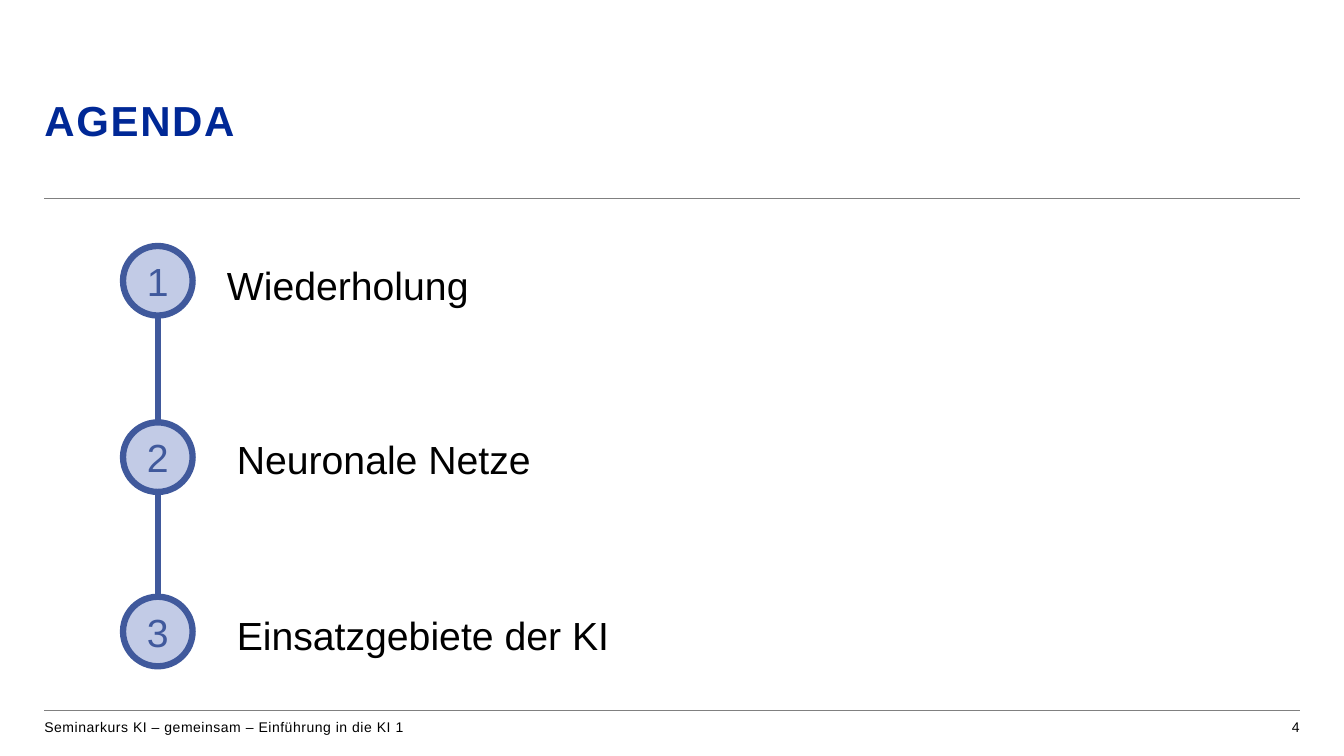
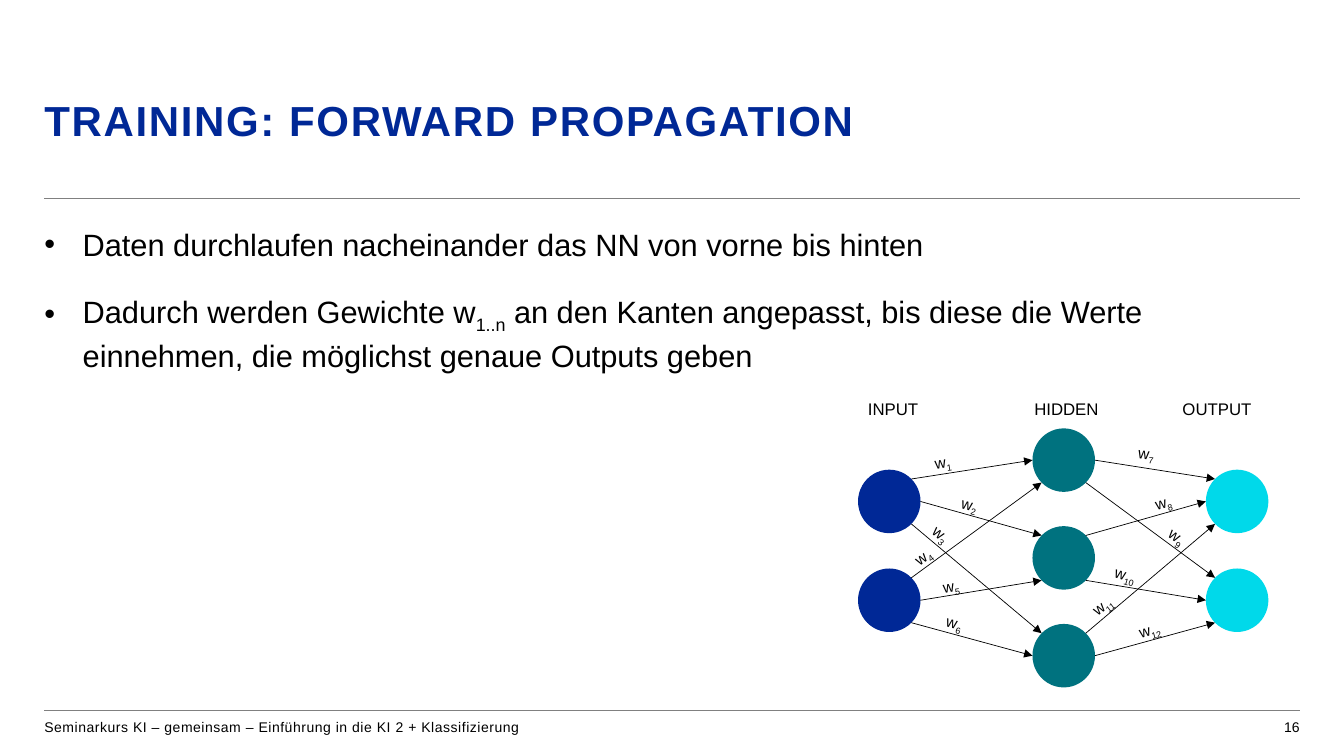
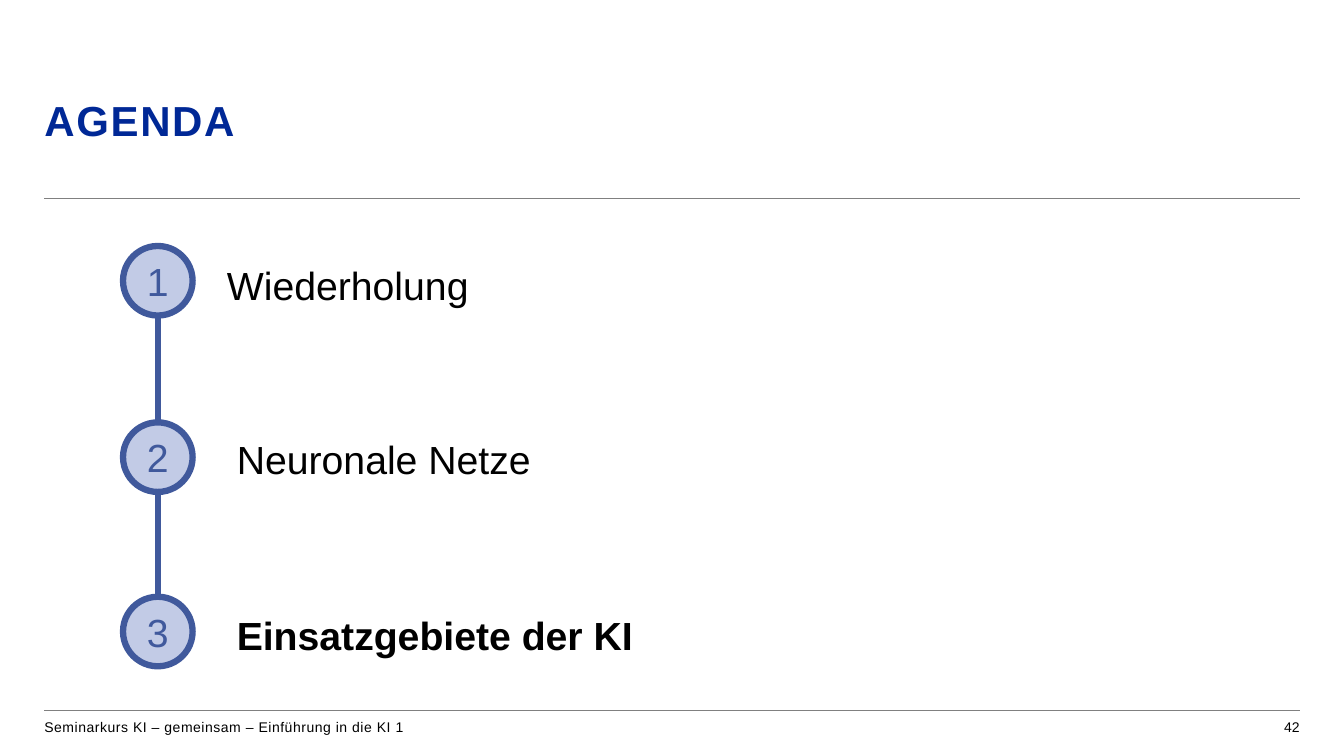
from dataclasses import dataclass, replace
from math import sqrt
from typing import NamedTuple

from lxml import etree
from pptx import Presentation
from pptx.dml.color import RGBColor
from pptx.enum.shapes import MSO_CONNECTOR, MSO_SHAPE
from pptx.enum.text import MSO_ANCHOR, MSO_AUTO_SIZE, PP_ALIGN
from pptx.oxml.ns import qn
from pptx.util import Pt

STRAIGHT = MSO_CONNECTOR.STRAIGHT
OVAL = MSO_SHAPE.OVAL
TOP, MIDDLE = MSO_ANCHOR.TOP, MSO_ANCHOR.MIDDLE
LEFT, CENTER, RIGHT = PP_ALIGN.LEFT, PP_ALIGN.CENTER, PP_ALIGN.RIGHT
NO_AUTOFIT = MSO_AUTO_SIZE.NONE
EMU_PER_PX = 9144  # 100 px to the inch


@dataclass(frozen=True)
class TextStyle:
    size: int
    color: str = "000000"
    bold: bool = False
    tracking: float = 0
    line_spacing: float = 1.0
    space_after: int = 0
    align: PP_ALIGN = LEFT


class Theme:
    font = "Arial"
    rule, edge = "808080", "000000"
    step_line, step_fill = "40599C", "C2CBE6"
    input, hidden, output = "002896", "00727F", "00D9EA"
    thin, thick = 0.5, 4.5
    title = TextStyle(30, "002896", bold=True, tracking=1.2, line_spacing=0.94)
    body = TextStyle(22, line_spacing=1.05, space_after=20)
    agenda = replace(body, size=28)
    step = TextStyle(28, step_line, align=CENTER)
    layer = TextStyle(12)
    weight = TextStyle(11)
    footer = TextStyle(10, tracking=0.4)
    page = TextStyle(10, align=RIGHT)


class Edge(NamedTuple):
    """A weighted arrow; a node is its layer and its place in that layer."""
    source: tuple
    exit_side: str
    target: tuple
    entry_side: str
    label_left: int
    label_top: int
    label_rotation: float


# Boxes are left, top, width, height in px.
SLIDE_SIZE = (1333, 750)
MARGIN_LEFT, MARGIN_RIGHT = 44, 1289
CONTENT_WIDTH = MARGIN_RIGHT - MARGIN_LEFT
RULE_TOPS = (197, 705)
TITLE_BOX = (MARGIN_LEFT, 98, CONTENT_WIDTH, 94)
BODY_BOX = (MARGIN_LEFT, 222, CONTENT_WIDTH, 460)
FOOTER_BOX = (MARGIN_LEFT, 713, 807, 24)
PAGE_BOX = (1081, 713, 208, 24)
COURSE = "Seminarkurs KI – gemeinsam – Einführung in die KI "

# Agenda: text, circle top, text box; the first text fills the body placeholder.
AGENDA = [
    ("Wiederholung", 244, (225, 257, 503, 43)),
    ("Neuronale Netze", 419, (225, 425, 939, 56)),
    ("Einsatzgebiete der KI", 592, (225, 599, 939, 56)),
]
STEP_LEFT, STEP_SIZE = 122, 69

# In a paragraph given as a tuple, every second part is a subscript.
TRAINING = [
    ("Daten durchlaufen nacheinander das NN von vorne bis hinten",),
    ("Dadurch werden Gewichte w", "1..n",
     " an den Kanten angepasst, bis diese die Werte einnehmen, "
     "die möglichst genaue Outputs geben"),
]
BULLET_INDENT = 38

# Layer: left, top of first node, pitch, node count, fill.
LAYERS = {
    "input": (851, 466, 98, 2, Theme.input),
    "hidden": (1024, 425, 97, 3, Theme.hidden),
    "output": (1196, 466, 98, 2, Theme.output),
}
NODE_WIDTH, NODE_HEIGHT = 62, 63
LAYER_NAMES = "INPUT\tHIDDEN\tOUTPUT"
LAYER_NAMES_BOX = (851, 391, 407, 30)
LAYER_TABS = (165, 312)

# Direction from a node's centre to a point on its outline, in radii.
DIAGONAL = 1 / sqrt(2)
COMPASS = {
    "E": (1, 0), "W": (-1, 0),
    "NE": (DIAGONAL, -DIAGONAL), "SE": (DIAGONAL, DIAGONAL),
    "NW": (-DIAGONAL, -DIAGONAL), "SW": (-DIAGONAL, DIAGONAL),
}
# In order of their weights, w1 to w12.
EDGES = [
    Edge(("input", 0), "NE", ("hidden", 0), "W", 917, 441, 351.1),
    Edge(("input", 0), "E", ("hidden", 1), "NW", 943, 492, 14.6),
    Edge(("input", 0), "SE", ("hidden", 2), "NW", 910, 531, 40),
    Edge(("input", 1), "NE", ("hidden", 0), "SW", 893, 524, 324.2),
    Edge(("input", 1), "E", ("hidden", 1), "SW", 925, 564, 350.8),
    Edge(("input", 1), "SE", ("hidden", 2), "W", 928, 610, 15.1),
    Edge(("hidden", 0), "E", ("output", 0), "NW", 1119, 439, 7.8),
    Edge(("hidden", 1), "NE", ("output", 0), "W", 1135, 478, 344.9),
    Edge(("hidden", 0), "SE", ("output", 1), "NW", 1145, 532, 36.3),
    Edge(("hidden", 1), "SE", ("output", 1), "W", 1095, 562, 16.7),
    Edge(("hidden", 2), "NE", ("output", 0), "SW", 1069, 574, 323.2),
    Edge(("hidden", 2), "E", ("output", 1), "SW", 1119, 605, 344.1),
]
WEIGHT_WIDTH, WEIGHT_HEIGHT = 83, 29


def px(*lengths):
    """Turn px lengths into a list of EMU."""
    return [round(length * EMU_PER_PX) for length in lengths]


def place(shape, box):
    shape.left, shape.top, shape.width, shape.height = px(*box)


def format_run(run, style, subscript):
    run.font.name = Theme.font
    run.font.size = Pt(style.size)
    run.font.bold = style.bold
    run.font.color.rgb = RGBColor.from_string(style.color)
    properties = run._r.get_or_add_rPr()
    if style.tracking:
        properties.set("spc", str(round(style.tracking * 100)))
    if subscript:
        properties.set("baseline", "-25000")


def write(text_frame, paragraphs, style, inset=True, anchor=TOP):
    """Fill a frame; each paragraph is a tuple of normal and subscript parts."""
    text_frame.word_wrap = True
    text_frame.auto_size = NO_AUTOFIT
    text_frame.vertical_anchor = anchor
    if not inset:
        text_frame.margin_left = text_frame.margin_right = 0
        text_frame.margin_top = text_frame.margin_bottom = 0
    for index, parts in enumerate(paragraphs):
        paragraph = text_frame.add_paragraph() if index else text_frame.paragraphs[0]
        paragraph.alignment = style.align
        paragraph.line_spacing = style.line_spacing
        paragraph.space_before = Pt(0)
        paragraph.space_after = Pt(style.space_after)
        for position, part in enumerate(parts):
            run = paragraph.add_run()
            run.text = part
            format_run(run, style, subscript=position % 2 == 1)


def add_text(shapes, box, parts, style, inset=True):
    text_box = shapes.add_textbox(*px(*box))
    write(text_box.text_frame, [parts], style, inset)
    return text_box


def add_line(shapes, start, end, color, width, arrow=False):
    line = shapes.add_connector(STRAIGHT, *px(*start, *end))
    line.line.color.rgb = RGBColor.from_string(color)
    line.line.width = Pt(width)
    if arrow:
        etree.SubElement(line.get_or_add_ln(), qn("a:tailEnd"), type="triangle")
    etree.SubElement(line._element.spPr, qn("a:effectLst"))
    return line


def add_circle(shapes, box, fill, outline=None):
    circle = shapes.add_shape(OVAL, *px(*box))
    circle.shadow.inherit = False
    circle.fill.solid()
    circle.fill.fore_color.rgb = RGBColor.from_string(fill)
    if outline:
        circle.line.color.rgb = RGBColor.from_string(outline)
        circle.line.width = Pt(Theme.thick)
    else:
        circle.line.fill.background()
    return circle


def set_bullet(paragraph, character=None):
    """Give a hanging bullet, or none when no character is named."""
    properties = paragraph._p.get_or_add_pPr()
    indent = px(BULLET_INDENT)[0] if character else 0
    properties.set("marL", str(indent))
    properties.set("indent", str(-indent))
    if character:
        etree.SubElement(properties, qn("a:buFont"), typeface=Theme.font)
        etree.SubElement(properties, qn("a:buChar"), char=character)
    else:
        etree.SubElement(properties, qn("a:buNone"))


def set_tabs(paragraph, positions):
    tabs = etree.SubElement(paragraph._p.get_or_add_pPr(), qn("a:tabLst"))
    for position in px(*positions):
        etree.SubElement(tabs, qn("a:tab"), pos=str(position), algn="l")


def place_layout(layout):
    for placeholder, box in zip(layout.placeholders, (TITLE_BOX, BODY_BOX)):
        place(placeholder, box)


def add_layout_rules(layout, slide):
    """Draw the rules on a slide, then move them to the layout all slides share."""
    for top in RULE_TOPS:
        rule = add_line(slide.shapes, (MARGIN_LEFT, top), (MARGIN_RIGHT, top),
                        Theme.rule, Theme.thin)
        layout.element.cSld.spTree.append(rule._element)


def add_slide(presentation, layout, title, footer, page):
    slide = presentation.slides.add_slide(layout)
    write(slide.shapes.title.text_frame, [(title,)], Theme.title, inset=False)
    add_text(slide.shapes, FOOTER_BOX, (footer,), Theme.footer, inset=False)
    add_text(slide.shapes, PAGE_BOX, (str(page),), Theme.page, inset=False)
    return slide


def fill_agenda(slide, current=None):
    """Draw the numbered steps, with the current one in bold."""
    group = slide.shapes.add_group_shape().shapes
    middle = STEP_LEFT + STEP_SIZE / 2
    first, last = (AGENDA[index][1] + STEP_SIZE / 2 for index in (0, -1))
    add_line(group, (middle, first), (middle, last), Theme.step_line, Theme.thick)
    for number, (text, circle_top, box) in enumerate(AGENDA, 1):
        circle = add_circle(group, (STEP_LEFT, circle_top, STEP_SIZE, STEP_SIZE),
                            Theme.step_fill, Theme.step_line)
        write(circle.text_frame, [(str(number),)], Theme.step, anchor=MIDDLE)
        style = replace(Theme.agenda, bold=number == current)
        if number == 1:
            body = slide.placeholders[1]
            place(body, box)
            set_bullet(body.text_frame.paragraphs[0])
            write(body.text_frame, [(text,)], style, inset=False)
        else:
            add_text(slide.shapes, box, (text,), style)


def node_box(layer, index):
    left, top, pitch, *_ = LAYERS[layer]
    return left, top + index * pitch, NODE_WIDTH, NODE_HEIGHT


def node_point(node, side):
    """Find where a compass direction meets the outline of a node."""
    left, top, width, height = node_box(*node)
    across, down = COMPASS[side]
    return left + width / 2 * (1 + across), top + height / 2 * (1 + down)


def add_network(slide):
    group = slide.shapes.add_group_shape().shapes
    for layer, (*_, count, fill) in LAYERS.items():
        for index in range(count):
            add_circle(group, node_box(layer, index), fill)
    names = add_text(group, LAYER_NAMES_BOX, (LAYER_NAMES,), Theme.layer)
    set_tabs(names.text_frame.paragraphs[0], LAYER_TABS)
    for number, edge in enumerate(EDGES, 1):
        add_line(group, node_point(edge.source, edge.exit_side),
                 node_point(edge.target, edge.entry_side),
                 Theme.edge, Theme.thin, arrow=True)
        label_box = (edge.label_left, edge.label_top, WEIGHT_WIDTH, WEIGHT_HEIGHT)
        label = add_text(group, label_box, ("w", str(number)), Theme.weight)
        label.rotation = edge.label_rotation


def fill_training(slide):
    text_frame = slide.placeholders[1].text_frame
    write(text_frame, TRAINING, Theme.body, inset=False)
    for paragraph in text_frame.paragraphs:
        set_bullet(paragraph, "•")
    add_network(slide)


def main():
    presentation = Presentation()
    presentation.slide_width, presentation.slide_height = px(*SLIDE_SIZE)
    layout = presentation.slide_layouts[1]
    place_layout(layout)

    overview = add_slide(presentation, layout, "AGENDA", COURSE + "1", 4)
    add_layout_rules(layout, overview)
    fill_agenda(overview)

    training = add_slide(presentation, layout, "TRAINING: FORWARD PROPAGATION",
                         COURSE + "2 + Klassifizierung", 16)
    fill_training(training)

    applications = add_slide(presentation, layout, "AGENDA", COURSE + "1", 42)
    fill_agenda(applications, current=3)

    presentation.save("out.pptx")


if __name__ == "__main__":
    main()
